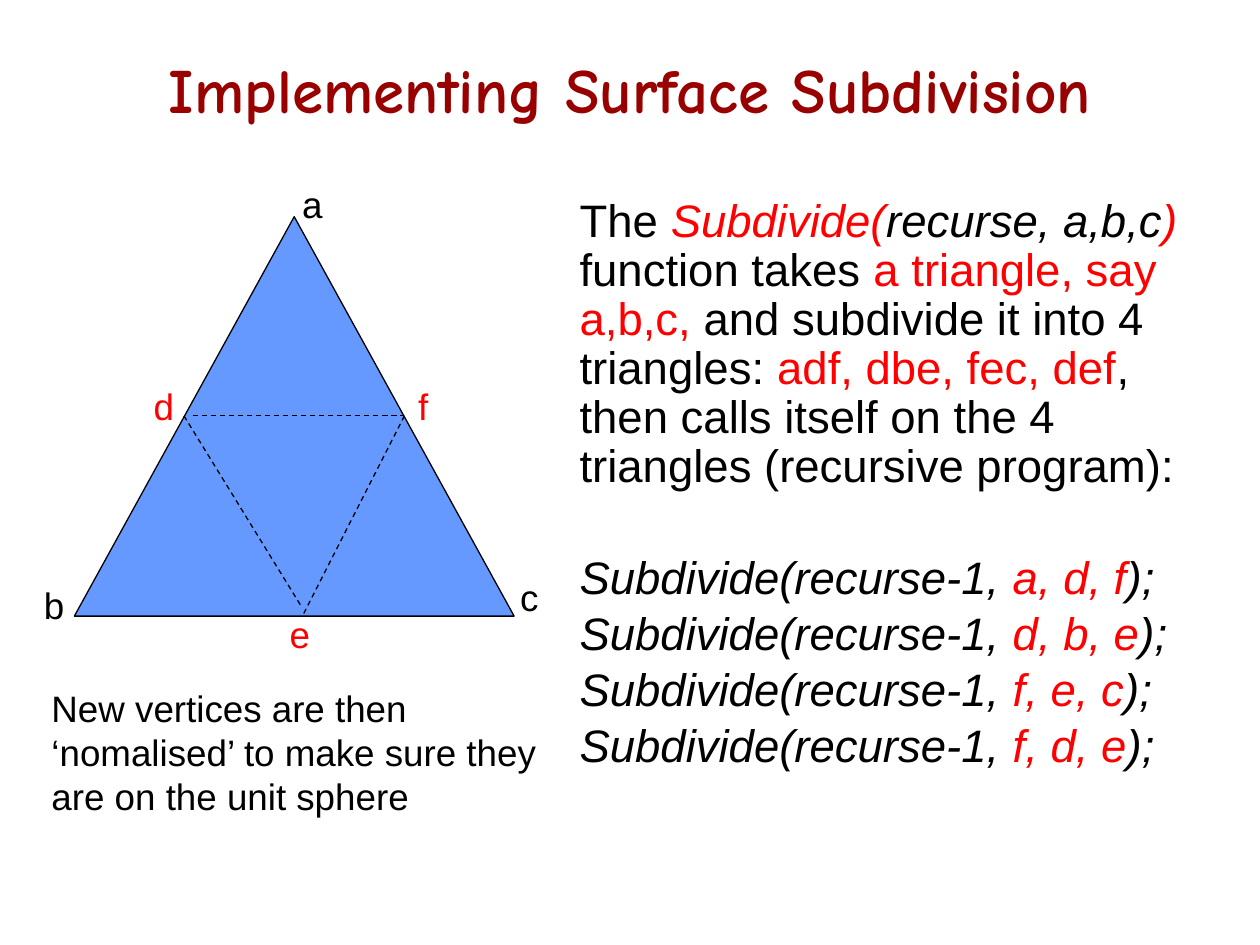
from lxml import etree
from pptx import Presentation
from pptx import util as u
from pptx.dml.color import RGBColor
from pptx.enum import dml, shapes, text
from pptx.oxml import ns

BLACK, RED, MAROON, BLUE = "000000", "FF0000", "990000", "6699FF"


def color(hex_value):
    return RGBColor.from_string(hex_value)


def place(shape, left, top, width, height):
    shape.left, shape.top = u.Inches(left), u.Inches(top)
    shape.width, shape.height = u.Inches(width), u.Inches(height)


def write(para, words, size=21, font="Arial", fill=BLACK, bold=False, italic=False):
    span = para.add_run()
    span.text = words
    span.font.size, span.font.name = u.Pt(size), font
    span.font.bold, span.font.italic = bold, italic
    span.font.color.rgb = color(fill)


def outline(shape):
    shape.line.color.rgb = color(BLACK)
    shape.line.width = u.Pt(0.75)


def add_text(parent, lines, left, top, width, height, wrap=True, **style):
    box = parent.add_textbox(*map(u.Inches, (left, top, width, height)))
    frame = box.text_frame
    frame.word_wrap = wrap
    frame.auto_size = text.MSO_AUTO_SIZE.SHAPE_TO_FIT_TEXT
    for index, line in enumerate(lines):
        para = frame.add_paragraph() if index else frame.paragraphs[0]
        write(para, line, **style)


def add_dashed_line(parent, start, end):
    line = parent.add_connector(
        shapes.MSO_CONNECTOR.STRAIGHT, *map(u.Inches, start + end))
    outline(line)
    line.line.dash_style = dml.MSO_LINE.DASH
    etree.SubElement(line._element.spPr, ns.qn("a:effectLst"))


def fill_title(title):
    place(title, 0.75, 0.25, 8.5, 0.9)
    title.text_frame.vertical_anchor = text.MSO_ANCHOR.MIDDLE
    para = title.text_frame.paragraphs[0]
    para.alignment = text.PP_ALIGN.CENTER
    write(para, "Implementing Surface Subdivision",
          size=36, font="Comic Neue", fill=MAROON, bold=True)


def add_body_paragraph(frame, spans, first=False, before=3.9):
    para = frame.paragraphs[0] if first else frame.add_paragraph()
    para.line_spacing, para.space_before = 0.9, u.Pt(before)
    properties = para._p.get_or_add_pPr()
    properties.set("marL", "0")
    properties.set("indent", "0")
    etree.SubElement(properties, ns.qn("a:buNone"))
    for words, fill, italic in spans:
        write(para, words, size=26, fill=fill, italic=italic)


def fill_body(body):
    place(body, 4.5, 1.52, 5.33, 5.17)
    frame = body.text_frame
    frame.auto_size = text.MSO_AUTO_SIZE.NONE
    add_body_paragraph(frame, [
        ("The ", BLACK, False),
        ("Subdivide(", RED, True),
        ("recurse, a,b,c", BLACK, True),
        (") ", RED, True),
        ("function takes ", BLACK, False),
        ("a triangle, say a,b,c,", RED, False),
        (" and subdivide it into 4 triangles: ", BLACK, False),
        ("adf, dbe, fec, def", RED, False),
        (", then calls itself on the 4 triangles (recursive program):", BLACK, False),
    ], first=True)
    # One recursive call per smaller triangle, set apart from the text above
    for index, corners in enumerate(("a, d, f", "d, b, e", "f, e, c", "f, d, e")):
        add_body_paragraph(frame, [
            ("Subdivide(recurse-1, ", BLACK, True),
            (corners, RED, True),
            (");", BLACK, True),
        ], before=3.9 if index else 36)


def draw_triangle(page):
    parts = page.shapes.add_group_shape().shapes
    triangle = parts.add_shape(shapes.MSO_SHAPE.ISOSCELES_TRIANGLE,
                               *map(u.Inches, (0.59, 1.72, 3.49, 3.17)))
    triangle.shadow.inherit = False
    triangle.fill.solid()
    triangle.fill.fore_color.rgb = color(BLUE)
    outline(triangle)

    # Corners in black, new midpoints in red
    for name, left, top, width, fill in (
            ("a", 2.3, 1.39, 0.31, BLACK),
            ("b", 0.25, 4.58, 0.31, BLACK),
            ("c", 4.03, 4.51, 0.3, BLACK),
            ("d", 1.12, 3, 0.39, RED),
            ("f", 3.22, 3, 0.31, RED),
            ("e", 2.2, 4.81, 0.39, RED)):
        add_text(parts, [name], left, top, width, 0.46, wrap=False, fill=fill)

    # Edges of the inner triangle
    for start, end in (((1.46, 3.3), (2.39, 4.81)),
                       ((3.21, 3.3), (2.4, 4.89)),
                       ((1.53, 3.3), (3.21, 3.3))):
        add_dashed_line(parts, start, end)


def main():
    deck = Presentation()
    deck.slide_width, deck.slide_height = u.Inches(10), u.Inches(7.5)
    page = deck.slides.add_slide(deck.slide_layouts[1])
    fill_title(page.shapes.title)
    fill_body(page.placeholders[1])
    draw_triangle(page)
    add_text(page.shapes, ["New vertices are then",
                           "‘nomalised’ to make sure they are on the unit sphere"],
             0.31, 5.39, 4.22, 1.16)
    deck.save("out.pptx")


if __name__ == "__main__":
    main()
